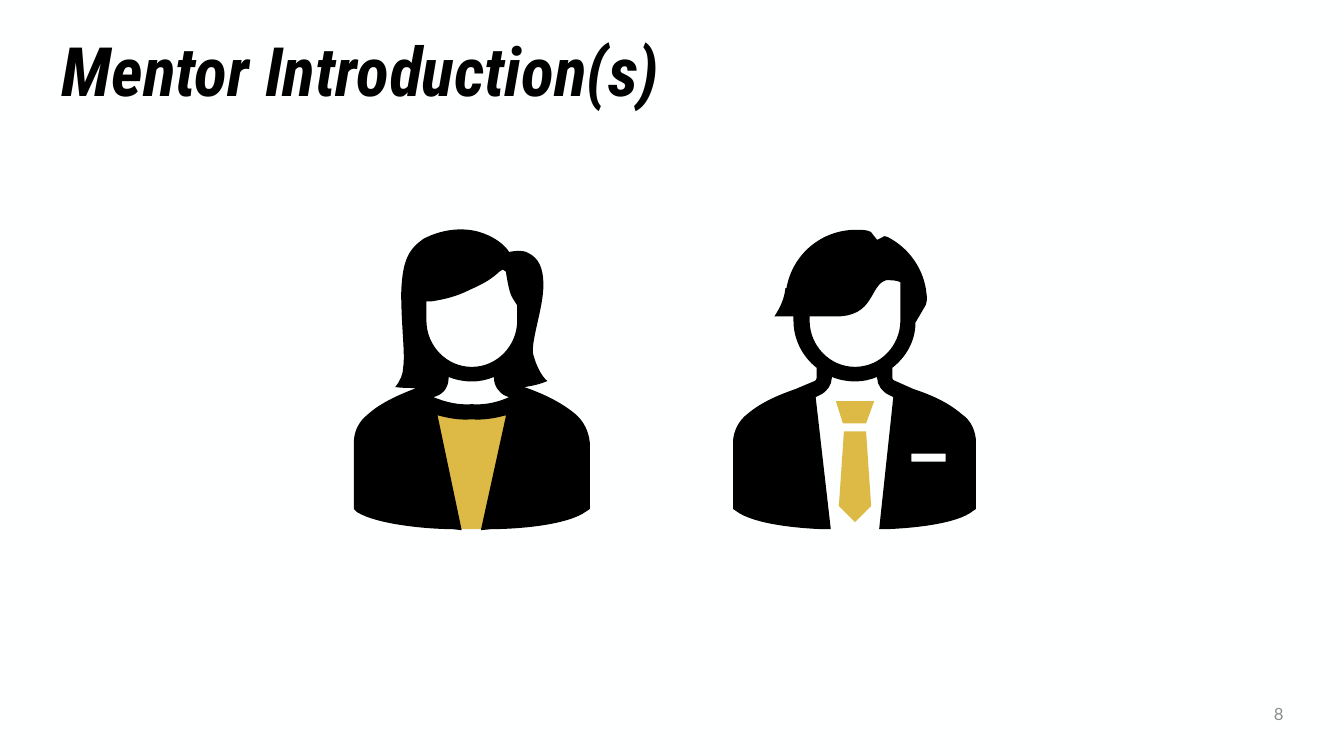
from pptx import Presentation
from pptx.dml.color import RGBColor
from pptx.enum.shapes import MSO_SHAPE
from pptx.enum.text import MSO_ANCHOR, PP_ALIGN
from pptx.oxml.ns import qn
from pptx.oxml.xmlchemy import OxmlElement
from pptx.util import Inches, Pt

COLORS = {"paper": "FEFFFF", "ink": "000000", "gold": "DDB945", "muted": "8C8C8C"}

# Outlines in hundredths of an inch: contours of points, L for lines, C for Bézier curves
WOMAN_ORIGIN = (351, 228)
WOMAN = [
    # Hair and jacket
    """585,439 C 584,428 579,418 571,411 559,401 543,392 520,384 528,383 536,381 543,378
    543,378 535,373 529,352 526,339 539,306 539,283 539,265 534,256 524,251
    518,247 505,250 505,250 505,250 498,237 475,230 457,225 437,228 420,237
    406,247 399,257 398,291 398,323 402,351 400,364 400,371 397,378 392,384
    399,385 406,385 413,385 392,393 376,401 365,411 356,418 351,428 351,439
    L 351,505 354,508 C 375,521 427,525 449,525 L 458,526 434,412
    C 445,415 456,417 468,416 479,417 491,415 502,412 L 477,526 487,525
    C 509,525 562,522 582,507 L 585,505""",
    # Face
    """423,318 L 423,299 C 424,299 426,299 428,299 441,297 453,294 465,288
    478,282 485,279 496,269 498,267 500,267 501,269 502,269 502,270 502,271
    503,277 505,290 508,295 510,298 511,300 513,303 L 513,318
    C 513,343 493,364 468,364 L 468,364 C 443,364 423,343 423,318""",
    # Neck
    """468,401 C 455,402 442,399 430,394 L 433,393 C 441,390 445,383 445,375
    L 445,374 C 460,380 476,380 490,374 L 490,375 C 490,383 495,390 502,393
    L 505,394 C 494,399 481,402 468,401""",
]

MAN_ORIGIN = (727, 228)
TIE_KNOT = ["836,420 859,420 867,398 829,398 836,420"]
TIE_BLADE = ["837,428 832,502 848,518 864,502 859,428 837,428"]
MAN = [
    # Hair and jacket
    """968,439 C 968,428 963,417 954,411 940,399 924,392 906,386 L 888,378
    C 886,378 885,376 885,375 L 885,365 C 899,354 908,338 908,320 L 918,303
    C 919,300 920,296 919,292 917,268 902,246 880,235 878,234 876,234 874,236
    L 870,238 866,233 C 865,231 863,229 861,229 857,228 853,228 849,228
    815,228 786,252 780,286 L 779,286 C 778,296 774,305 768,314
    L 787,314 787,318 C 787,337 796,354 810,365 L 810,375
    C 810,376 809,378 808,378 L 789,386 C 772,392 755,399 741,411
    733,417 727,428 727,439 L 727,505 730,507 C 747,520 790,524 815,525
    L 824,525 809,394 813,392 C 820,389 825,382 825,375 L 825,374
    C 840,380 856,380 870,374 L 870,375 C 870,382 875,389 882,392
    L 886,394 872,525 880,525 C 905,524 949,520 965,507 L 968,505""",
    # Face
    """803,318 L 803,314 829,314 C 868,314 862,283 879,278 884,278 889,278 893,280
    L 893,318 C 893,343 873,364 848,364 823,364 803,343 803,318""",
    # Pocket
    "938,458 904,458 904,450 938,450",
]


def rgb(name):
    return RGBColor.from_string(COLORS[name])


def paint(sp, color):
    sp.shadow.inherit = False
    sp.fill.solid()
    sp.fill.fore_color.rgb = rgb(color)
    sp.line.fill.background()


def add_run(p, text, font, size, color):
    r = p.add_run()
    r.text = text
    r.font.name, r.font.size = font, Pt(size)
    r.font.color.rgb = rgb(color)
    return r


def read_contour(contour):
    """Return the points of a contour and, for each, the command it belongs to."""
    points, commands, command = [], [], "L"
    for token in contour.split():
        if token in ("L", "C"):
            command = token
        else:
            points.append(tuple(int(v) for v in token.split(",")))
            commands.append(command)
    return points, commands


def bend(sp, commands):
    """Join each three segments marked C into one Bézier curve."""
    curve = None
    for segment, command in zip(list(sp._element.iter(qn("a:lnTo"))), commands):
        if command == "L":
            continue
        if curve is None:
            curve = OxmlElement("a:cubicBezTo")
            segment.addprevious(curve)
        curve.append(segment[0])
        segment.getparent().remove(segment)
        if len(curve) == 3:
            curve = None


def add_outline(shapes, x, y, origin, contours, color):
    builder, segments = None, []
    for contour in contours:
        points, commands = read_contour(contour)
        points = [(Inches(x + (px - origin[0]) / 100), Inches(y + (py - origin[1]) / 100))
                  for px, py in points]
        if builder is None:
            builder = shapes.build_freeform(*points[0])
        else:
            builder.move_to(*points[0])
        builder.add_line_segments(points[1:], close=True)
        segments += commands[1:]
    sp = builder.convert_to_shape()
    bend(sp, segments)
    paint(sp, color)


def add_woman(s, x, y):
    # The gold top shows through the open jacket
    top = s.shapes.add_shape(MSO_SHAPE.OVAL, Inches(x + 0.19), Inches(y + 1.8),
                             Inches(1.96), Inches(1.17))
    paint(top, "gold")
    add_outline(s.shapes, x, y, WOMAN_ORIGIN, WOMAN, "ink")


def add_man(s, x, y):
    group = s.shapes.add_group_shape()
    for contours, color in ((TIE_KNOT, "gold"), (TIE_BLADE, "gold"), (MAN, "ink")):
        add_outline(group.shapes, x, y, MAN_ORIGIN, contours, color)


def add_title(s, x, y, w, h):
    sp = s.shapes.title
    sp.left, sp.top, sp.width, sp.height = (Inches(v) for v in (x, y, w, h))
    tf = sp.text_frame
    tf.word_wrap = True
    tf.vertical_anchor = MSO_ANCHOR.MIDDLE
    p = tf.paragraphs[0]
    p.alignment, p.line_spacing = PP_ALIGN.LEFT, 0.9
    r = add_run(p, "Mentor Introduction(s)", "Roboto Condensed", 48.6, "ink")
    r.font.bold = r.font.italic = True


def add_page_number(s, x, y, w, h):
    sp = s.shapes.add_textbox(*(Inches(v) for v in (x, y, w, h)))
    tf = sp.text_frame
    tf.word_wrap = True
    tf.vertical_anchor = MSO_ANCHOR.MIDDLE
    p = tf.paragraphs[0]
    p.alignment = PP_ALIGN.RIGHT
    add_run(p, "8", "Lato", 12, "muted")


def main():
    prs = Presentation()
    prs.slide_width, prs.slide_height = Inches(13.33), Inches(7.5)
    s = prs.slides.add_slide(prs.slide_layouts[5])
    s.background.fill.solid()
    s.background.fill.fore_color.rgb = rgb("paper")
    add_title(s, 0.51, 0.42, 12.32, 0.64)
    add_page_number(s, 11.63, 6.88, 1.2, 0.4)
    add_man(s, 7.27, 2.28)
    add_woman(s, 3.51, 2.28)
    prs.save("out.pptx")


if __name__ == "__main__":
    main()
